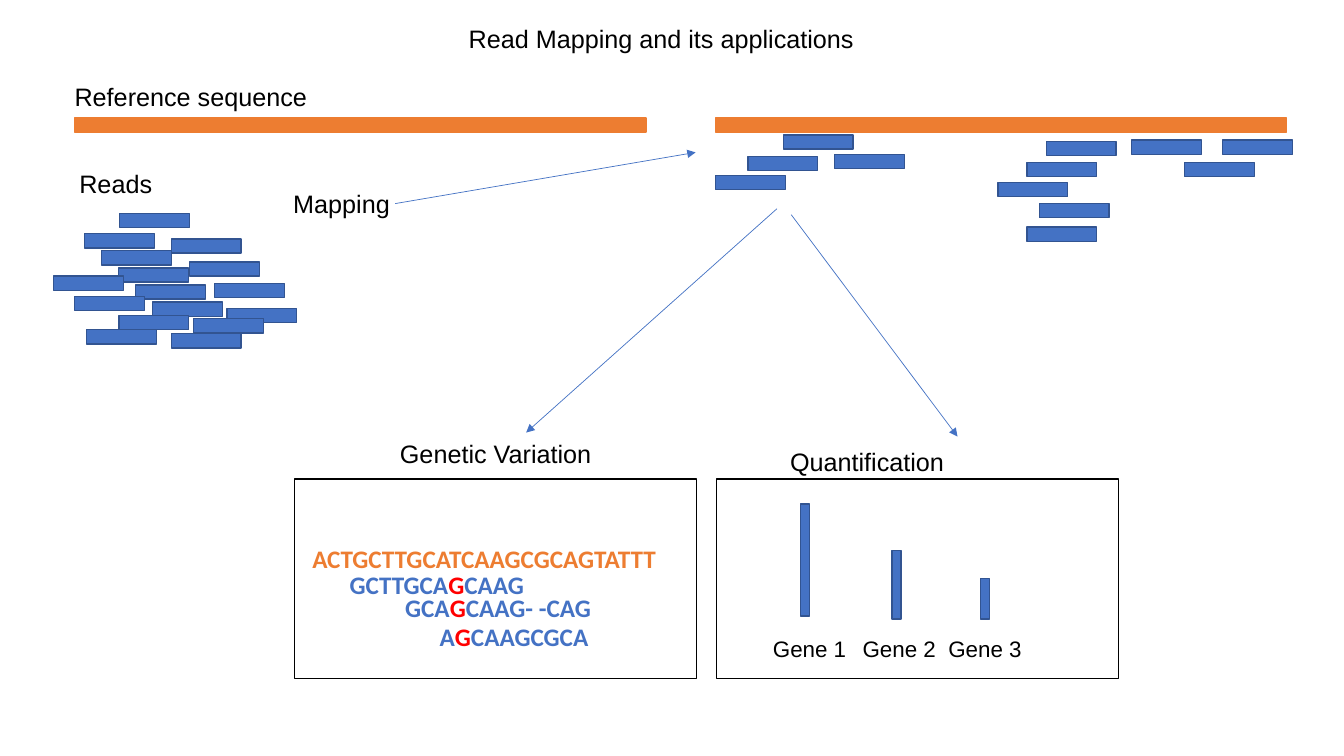
import pptx
import pptx.dml.color
import pptx.enum.shapes
import pptx.enum.text
import pptx.oxml.ns
import pptx.util
from lxml import etree

Cm, Pt = pptx.util.Cm, pptx.util.Pt
COLOURS = {"reference": "ED7D31", "read": "4472C4", "edge": "325491",
           "variant": "FF0000", "text": "000000"}
LABEL = {"size": Pt(18), "name": "Arial"}
GENE = {"size": Pt(16), "name": "Arial"}
SEQUENCE = {"size": Pt(18), "name": "Calibri", "bold": True}
READ_SIZE = (1.76, 0.36)


def rgb(key):
    """Return the named colour."""
    return pptx.dml.color.RGBColor.from_string(COLOURS[key])


class Canvas:
    """Holds the style and the current slide."""

    def __init__(self, s):
        """Draw on slide s."""
        self.s = s

    def rect(self, x, y, w, h, fill=None, line="edge"):
        """Add a rectangle; without a fill it is only a frame."""
        sp = self.s.shapes.add_shape(pptx.enum.shapes.MSO_SHAPE.RECTANGLE,
                                     Cm(x), Cm(y), Cm(w), Cm(h))
        sp.shadow.inherit = False
        if fill:
            sp.fill.solid()
            sp.fill.fore_color.rgb = rgb(fill)
        else:
            sp.fill.background()
        sp.line.color.rgb = rgb(line)
        sp.line.width = Pt(1)

    def reads(self, places):
        """Add one short read at each place."""
        for x, y in places:
            self.rect(x, y, *READ_SIZE, "read")

    def text(self, x, y, w, runs, fmt=LABEL, wrap=True, h=1.02):
        """Add one line of text from (words, colour) runs."""
        tf = self.s.shapes.add_textbox(Cm(x), Cm(y), Cm(w), Cm(h)).text_frame
        tf.word_wrap = wrap
        tf.auto_size = pptx.enum.text.MSO_AUTO_SIZE.SHAPE_TO_FIT_TEXT
        p = tf.paragraphs[0]
        for words, colour in runs:
            r = p.add_run()
            r.text = words
            r.font.color.rgb = rgb(colour)
            for name, value in fmt.items():
                setattr(r.font, name, value)

    def arrow(self, x1, y1, x2, y2):
        """Add a thin arrow that points at (x2, y2)."""
        sp = self.s.shapes.add_connector(pptx.enum.shapes.MSO_CONNECTOR.STRAIGHT,
                                         Cm(x1), Cm(y1), Cm(x2), Cm(y2))
        sp.line.color.rgb = rgb("read")
        sp.line.width = Pt(0.5)
        qn = pptx.oxml.ns.qn
        etree.SubElement(sp.line._get_or_add_ln(), qn("a:tailEnd"), type="triangle")
        etree.SubElement(sp._element.spPr, qn("a:effectLst"))


def draw_mapping(c):
    """Draw the reference, the reads and where they map."""
    for x in (1.88, 18.03):
        c.rect(x, 2.97, 14.4, 0.36, "reference", "reference")
    c.reads((2.13 + 0.43 * i, 5.89 + 0.43 * i) for i in range(5))
    c.reads([(3.02, 5.38), (1.35, 6.96), (1.88, 7.47), (4.32, 6.02),
             (4.78, 6.6), (5.41, 7.14), (5.72, 7.77), (3, 7.95),
             (4.32, 8.41), (4.88, 8.03), (2.18, 8.31)])
    c.reads([(18.85, 3.94), (25.15, 4.6), (26.19, 5.13), (19.74, 3.4),
             (25.88, 4.09), (30.81, 3.53), (21.03, 3.89), (26.37, 3.56),
             (28.52, 3.53), (29.85, 4.09), (25.88, 5.72), (18.03, 4.42)])
    for x, y, w, words, wrap in [
            (11.56, 0.46, 10.31, "Read Mapping and its applications", False),
            (1.63, 1.93, 6.43, "Reference sequence", False),
            (1.75, 4.11, 2.36, "Reads", False),
            (7.14, 4.62, 4.01, "Mapping", True),
            (9.83, 10.92, 6.81, "Genetic Variation", True),
            (19.66, 11.13, 8.61, "Quantification", True)]:
        c.text(x, y, w, [(words, "text")], wrap=wrap)
    for ends in [(9.96, 5.13, 17.53, 3.84), (19.58, 5.26, 13.26, 10.9),
                 (19.94, 5.41, 24.13, 11)]:
        c.arrow(*ends)


def draw_applications(c):
    """Draw the aligned sequences and the gene bars in their frames."""
    c.text(7.62, 13.56, 10.21, [("ACTGCTTGCATCAAGCGCAGTATTT", "reference")], SEQUENCE)
    for x, y, before, after in [(8.56, 14.22, "GCTTGCA", "CAAG"),
                                (9.96, 14.81, "GCA", "CAAG- -CAG"),
                                (10.83, 15.52, "A", "CAAGCGCA")]:
        c.text(x, y, 10.21, [(before, "read"), ("G", "variant"), (after, "read")],
               SEQUENCE)
    genes = [(20.17, 12.7, 2.82, 19.23), (22.48, 13.87, 1.73, 21.49),
             (24.71, 14.58, 1.02, 23.65)]
    for i, (x, y, h, label_x) in enumerate(genes, 1):
        c.rect(x, y, 0.23, h, "read")
        c.text(label_x, 15.88, 2.39, [(f"Gene {i}", "text")], GENE, False, 0.94)
    for x in (7.42, 18.06):
        c.rect(x, 12.07, 10.13, 5.03, line="text")


prs = pptx.Presentation()
prs.slide_width, prs.slide_height = Cm(33.87), Cm(19.05)
canvas = Canvas(prs.slides.add_slide(prs.slide_layouts[6]))
draw_mapping(canvas)
draw_applications(canvas)
prs.save("out.pptx")
